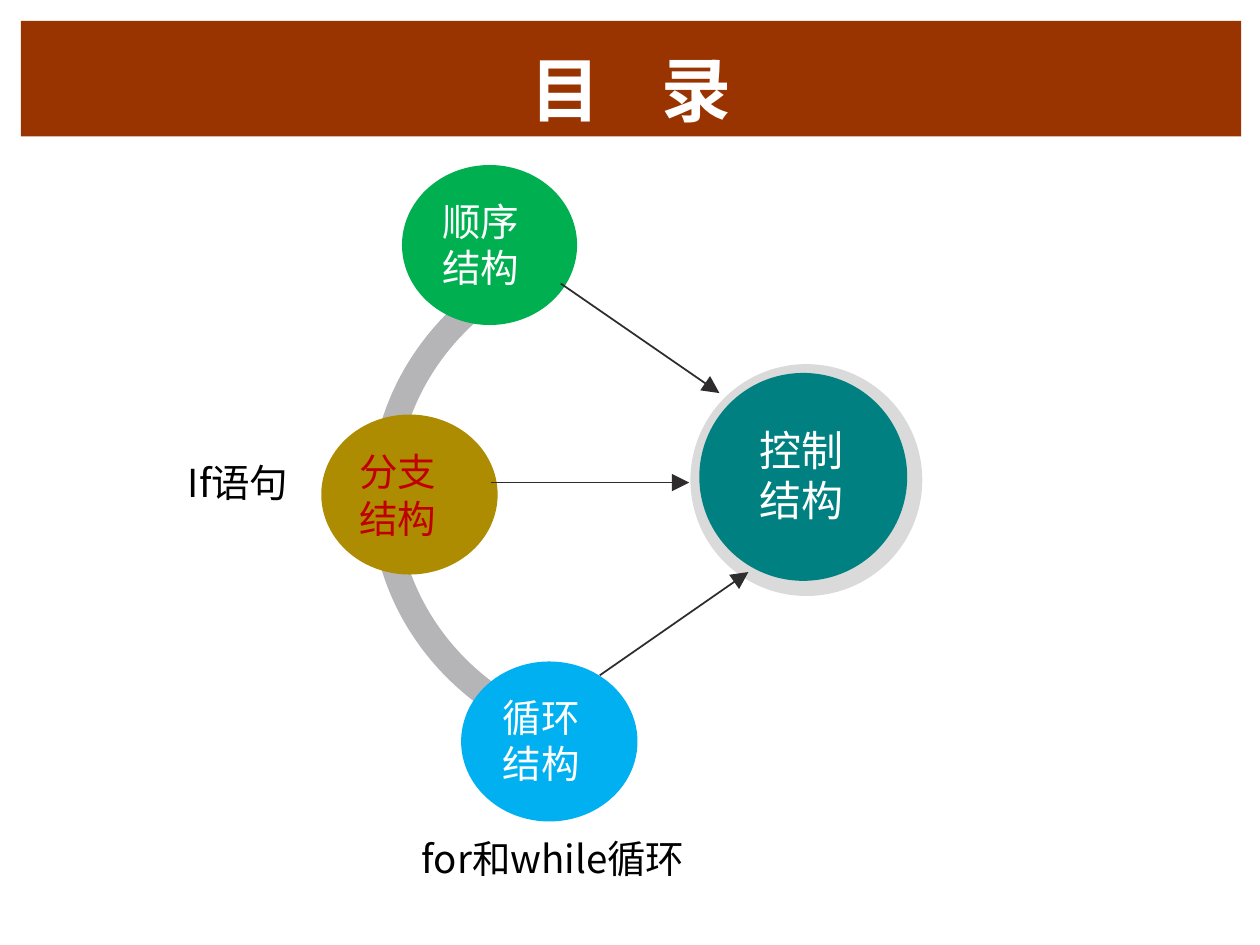
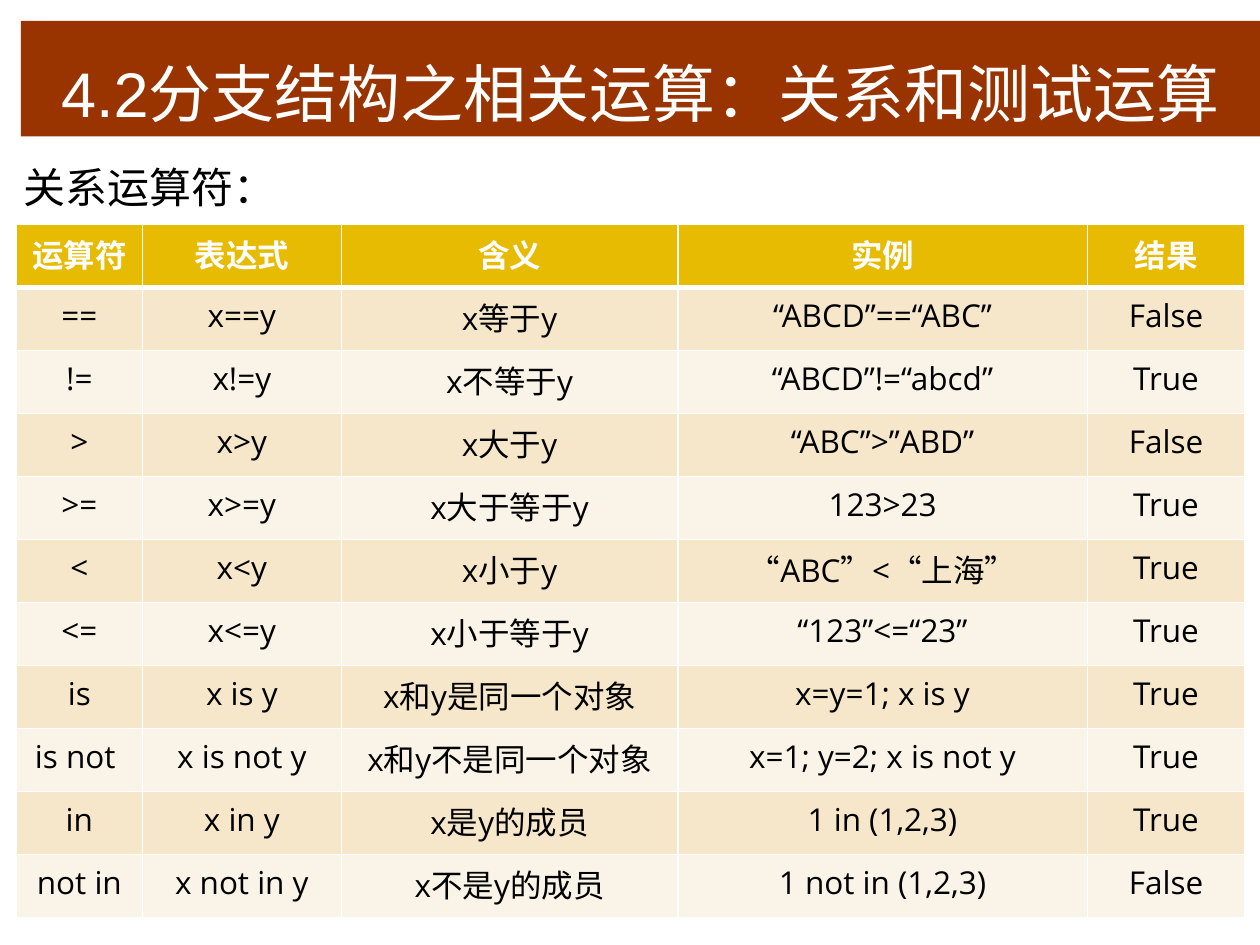
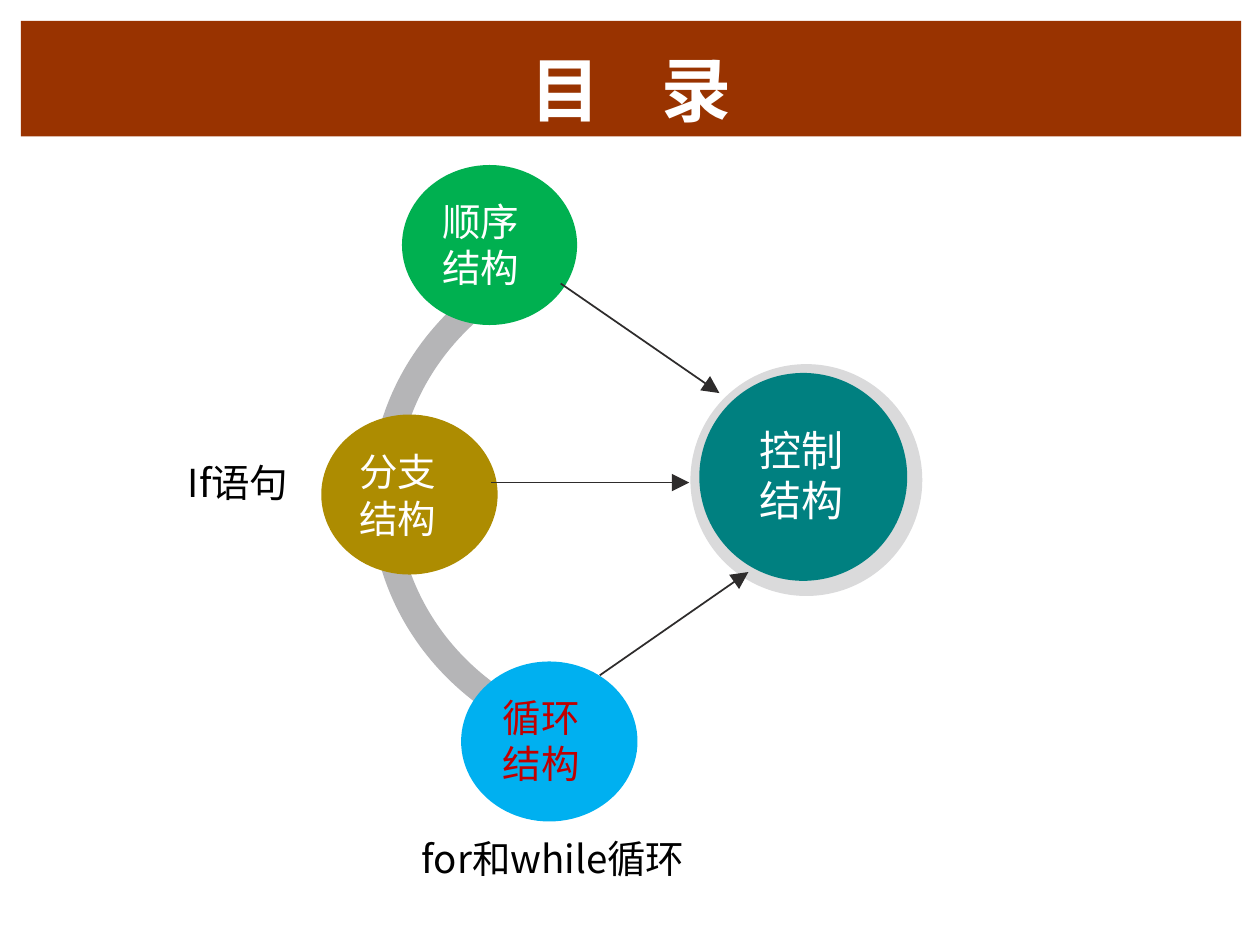
from dataclasses import dataclass
from typing import NamedTuple

from lxml.etree import SubElement
from pptx import Presentation
from pptx.dml.color import RGBColor
from pptx.enum.shapes import MSO_CONNECTOR, MSO_SHAPE
from pptx.enum.text import MSO_ANCHOR, MSO_AUTO_SIZE, PP_ALIGN
from pptx.oxml import parse_xml
from pptx.oxml.ns import nsdecls, qn
from pptx.util import Emu, Inches, Pt

# The slide is a grid of 10 columns by 7.5 rows of square units.
COLUMNS, ROWS = 10, 7.5
UNIT = Inches(1)

WHITE, BLACK, RED = "FFFFFF", "000000", "C00000"
BAND, HALO, RING, ARROW, HUB = "993300", "DADADB", "B5B5B7", "2E2C2C", "008080"
HEADER_FILL, ROW_FILLS = "E7BB01", ("F6E7CB", "FAF3E7")
SANS, HAN, ARIAL = "Open Sans", "Noto Sans CJK SC", "Arial"
CENTER, LEFT, RIGHT = PP_ALIGN.CENTER, PP_ALIGN.LEFT, PP_ALIGN.RIGHT


class Frame(NamedTuple):
    """A place on the grid, in columns and rows."""
    column: float
    row: float
    wide: float
    high: float


class Span(NamedTuple):
    """One run of text and its look; gap is extra letter spacing in points."""
    text: str
    size: float
    color: str = BLACK
    font: str = HAN
    bold: bool = False
    gap: float = 0


@dataclass(frozen=True)
class Topic:
    """A coloured disc with its own label place."""
    name: str
    disc: Frame
    label: Frame
    fill: str


class Arrow(NamedTuple):
    """A straight arrow between two grid points."""
    start: tuple[float, float]
    end: tuple[float, float]


TOPICS = (
    Topic("顺序结构", Frame(3.19, 1.31, 1.39, 1.27), Frame(3.37, 1.52, 0.89, 0.84), "00B050"),
    Topic("分支结构", Frame(2.55, 3.29, 1.4, 1.27), Frame(2.71, 3.51, 0.89, 0.84), "AD8C01"),
    Topic("循环结构", Frame(3.66, 5.25, 1.4, 1.27), Frame(3.85, 5.46, 0.89, 0.84), "00B0F0"),
)
ARROWS = (
    Arrow((4.45, 2.25), (5.71, 3.12)),
    Arrow((4.76, 5.36), (5.94, 4.54)),
    Arrow((3.9, 3.83), (5.47, 3.83)),
)
# Three points make a curve and one point makes a straight edge.
RING_START = (4.13, 2.3)
RING_EDGES = (
    ((3.55, 2.63), (3.15, 3.23), (3.15, 3.93)),
    ((3.15, 4.61), (3.53, 5.21), (4.1, 5.54)),
    ((3.99, 5.72),),
    ((3.36, 5.35), (2.94, 4.69), (2.94, 3.93)),
    ((2.94, 3.16), (3.38, 2.49), (4.03, 2.12)),
    (RING_START,),
)
COLUMN_WIDTHS = (1, 1.58, 2.67, 3.25, 1.25)
ROW_HEIGHT = 0.5
OPERATORS = (
    ("运算符", "表达式", "含义", "实例", "结果"),
    ("==", "x==y", "x等于y", "“ABCD”==“ABC”", "False"),
    ("!=", "x!=y", "x不等于y", "“ABCD”!=“abcd”", "True"),
    (">", "x>y", "x大于y", "“ABC”>”ABD”", "False"),
    (">=", "x>=y", "x大于等于y", "123>23", "True"),
    ("<", "x<y", "x小于y", "“ABC”<“上海”", "True"),
    ("<=", "x<=y", "x小于等于y", "“123”<=“23”", "True"),
    ("is", "x is y", "x和y是同一个对象", "x=y=1; x is y", "True"),
    ("is not ", "x is not y", "x和y不是同一个对象", "x=1; y=2; x is not y", "True"),
    ("in", "x in y", "x是y的成员", "1 in (1,2,3)", "True"),
    ("not in", "x not in y", "x不是y的成员", "1 not in (1,2,3)", "False"),
)


def units(value: float) -> Emu:
    """Turn grid units into a length."""
    return Emu(round(value * UNIT))


def place(frame: Frame) -> list[Emu]:
    """Turn a frame into left, top, width and height."""
    return [units(value) for value in frame]


def rgb(color: str) -> RGBColor:
    """Turn a hex string into a colour."""
    return RGBColor.from_string(color)


def paint(shape, fill: str) -> None:
    """Give a shape a flat fill with no line or shadow."""
    shape.shadow.inherit = False
    shape.fill.solid()
    shape.fill.fore_color.rgb = rgb(fill)
    shape.line.fill.background()


def write(text_frame, spans: list[Span], align=CENTER) -> None:
    """Write the spans into the first paragraph."""
    para = text_frame.paragraphs[0]
    para.alignment = align
    for span in spans:
        run = para.add_run()
        run.text = span.text
        run.font.size = Pt(span.size)
        run.font.bold = span.bold
        run.font.name = span.font
        run.font.color.rgb = rgb(span.color)
        SubElement(run.font._element, qn("a:ea")).set("typeface", HAN)
        if span.gap:
            run.font._element.set("spc", str(round(span.gap * 100)))


def add_text(page, frame: Frame, span: Span, align=CENTER, grow: bool = True) -> None:
    """Add a wrapping text box that may grow with its text."""
    box = page.shapes.add_textbox(*place(frame))
    box.text_frame.word_wrap = True
    if grow:
        box.text_frame.auto_size = MSO_AUTO_SIZE.SHAPE_TO_FIT_TEXT
    write(box.text_frame, [span], align)


def add_filled(page, kind: MSO_SHAPE, frame: Frame, fill: str):
    """Add a preset shape with a flat fill."""
    shape = page.shapes.add_shape(kind, *place(frame))
    paint(shape, fill)
    return shape


def add_title(page, right: float, spans: list[Span]) -> None:
    """Add the title band up to a right edge, with its text at the bottom."""
    margin = 1 / 6
    frame = Frame(margin, margin, right - margin, 11 / 12)
    band = add_filled(page, MSO_SHAPE.RECTANGLE, frame, BAND)
    band.text_frame.word_wrap = True
    band.text_frame.vertical_anchor = MSO_ANCHOR.BOTTOM
    write(band.text_frame, spans)


def add_ring(page) -> None:
    """Draw the curved strip that joins the discs."""
    points = [(units(x), units(y)) for edge in RING_EDGES for x, y in edge]
    builder = page.shapes.build_freeform(*(units(value) for value in RING_START))
    builder.add_line_segments(points, close=True)
    ring = builder.convert_to_shape()
    paint(ring, RING)
    lines = ring._element.findall(".//" + qn("a:lnTo"))
    for edge in RING_EDGES:
        group, lines = lines[:len(edge)], lines[len(edge):]
        if len(group) == 3:
            group[0].tag
            curve = parse_xml(f'<a:cubicBezTo {nsdecls("a")}/>')
            group[0].addprevious(curve)
            for line in group:
                curve.append(line[0])
                line.getparent().remove(line)


def add_arrow(page, arrow: Arrow) -> None:
    """Draw a thin line with a large triangle at its end."""
    ends = [units(value) for value in arrow.start + arrow.end]
    line = page.shapes.add_connector(MSO_CONNECTOR.STRAIGHT, *ends)
    line.line.color.rgb = rgb(ARROW)
    line.line.width = Pt(1)
    head = SubElement(line.line._get_or_add_ln(), qn("a:tailEnd"))
    for name, value in (("type", "triangle"), ("w", "lg"), ("len", "lg")):
        head.set(name, value)
    SubElement(line._element.spPr, qn("a:effectLst"))


def add_borders(cell, top: float, bottom: float) -> None:
    """Give a cell white borders, with top and bottom widths in points."""
    widths = {"lnL": 1, "lnR": 1, "lnT": top, "lnB": bottom}
    for index, (side, width) in enumerate(widths.items()):
        border = parse_xml(
            f'<a:{side} {nsdecls("a")} w="{Pt(width)}"><a:solidFill>'
            f'<a:srgbClr val="{WHITE}"/></a:solidFill></a:{side}>')
        cell._tc.get_or_add_tcPr().insert(index, border)


def add_operator_table(page) -> None:
    """Add the banded table of operators."""
    frame = Frame(0.13, 1.78, sum(COLUMN_WIDTHS), ROW_HEIGHT * len(OPERATORS))
    table = page.shapes.add_table(len(OPERATORS), len(COLUMN_WIDTHS), *place(frame)).table
    table.first_row = table.horz_banding = False
    for column, width in zip(table.columns, COLUMN_WIDTHS):
        column.width = units(width)
    for row_index, texts in enumerate(OPERATORS):
        table.rows[row_index].height = units(ROW_HEIGHT)
        header = row_index == 0
        fill = HEADER_FILL if header else ROW_FILLS[(row_index - 1) % 2]
        for column_index, text in enumerate(texts):
            cell = table.cell(row_index, column_index)
            cell.fill.solid()
            cell.fill.fore_color.rgb = rgb(fill)
            add_borders(cell, 3 if row_index == 1 else 1, 3 if header else 1)
            color = WHITE if header else BLACK
            write(cell.text_frame, [Span(text, 18, color, SANS, bold=header)])


def add_page(deck):
    """Add an empty white page."""
    page = deck.slides.add_slide(deck.slide_layouts[6])
    page.background.fill.solid()
    page.background.fill.fore_color.rgb = rgb(WHITE)
    return page


def add_contents(deck, current: str) -> None:
    """Add the contents page with the current topic in red."""
    page = add_page(deck)
    title = Span("目", 40, WHITE, SANS, bold=True)
    add_title(page, 9.85, [title, title._replace(text=" ", gap=26), title._replace(text="录")])
    add_filled(page, MSO_SHAPE.OVAL, Frame(5.48, 2.89, 1.84, 1.84), HALO)
    add_ring(page)
    for topic in TOPICS:
        add_filled(page, MSO_SHAPE.OVAL, topic.disc, topic.fill)
    for arrow in ARROWS:
        add_arrow(page, arrow)
    add_filled(page, MSO_SHAPE.OVAL, Frame(5.55, 2.96, 1.65, 1.65), HUB)
    for topic in TOPICS:
        color = RED if topic.name == current else WHITE
        add_text(page, topic.label, Span(topic.name, 22, color))
    add_text(page, Frame(5.78, 3.32, 1.16, 0.93), Span("控制结构", 24, WHITE))
    add_text(page, Frame(1.22, 3.59, 1.34, 0.47), Span("If语句", 22))
    add_text(page, Frame(2.87, 6.58, 2.66, 0.47), Span("for和while循环", 22), RIGHT)


def add_operators(deck) -> None:
    """Add the page about relational and test operators."""
    page = add_page(deck)
    add_text(page, Frame(0.09, 1.23, COLUMNS, 5.92),
             Span("关系运算符：", 24, font=ARIAL), LEFT, grow=False)
    add_operator_table(page)
    add_title(page, COLUMNS, [
        Span("4.2", 36, WHITE, ARIAL),
        Span("分支结构之相关运算：关系和测试运算", 36, WHITE),
    ])


def main() -> None:
    """Build the deck and save it."""
    deck = Presentation()
    deck.slide_width, deck.slide_height = units(COLUMNS), units(ROWS)
    add_contents(deck, "分支结构")
    add_operators(deck)
    add_contents(deck, "循环结构")
    deck.save("out.pptx")


main()
